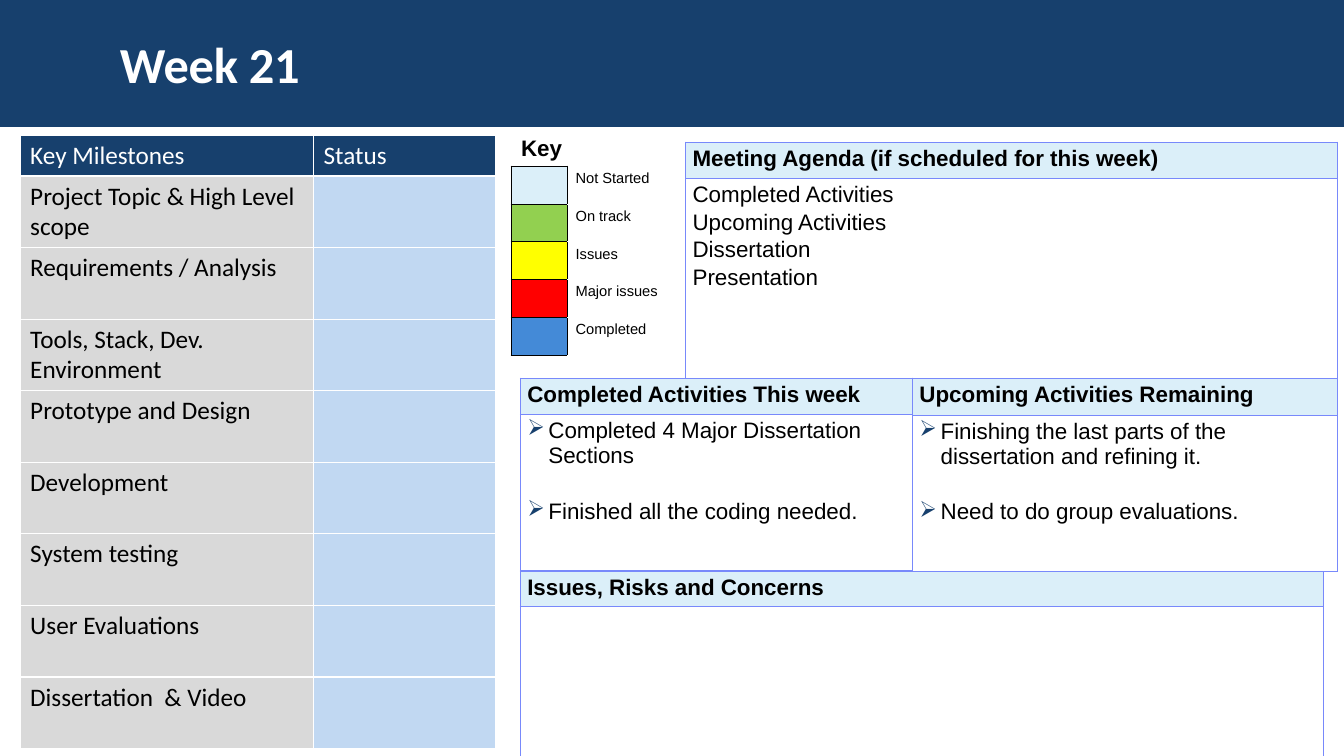
"""Build the weekly project status slide."""
from dataclasses import dataclass

import pptx
import pptx.dml.color
import pptx.enum.shapes
import pptx.enum.text
import pptx.oxml
import pptx.oxml.ns
import pptx.util

Inches, Pt = pptx.util.Inches, pptx.util.Pt
NAVY, WHITE, BLACK, PALE = "17406D", "FFFFFF", "000000", "DBEFF9"
GREY, LIGHT_BLUE, PERIWINKLE = "D9D9D9", "C1D8F2", "7889FB"
ALL_SIDES = "LRTB"


@dataclass(frozen=True)
class TextStyle:
    font: str
    size: float
    color: str = BLACK
    bold: bool = False


@dataclass(frozen=True)
class Panel:
    left: float
    top: float
    width: float
    heights: tuple[float, float]
    heading: str
    lines: tuple[str, ...] = ()
    bulleted: bool = False


@dataclass(frozen=True)
class KeyEntry:
    color: str
    label: str


MILESTONES = (
    "Project Topic & High Level scope",
    "Requirements / Analysis",
    "Tools, Stack, Dev. Environment",
    "Prototype and Design",
    "Development",
    "System testing",
    "User Evaluations",
    "Dissertation  & Video",
)
KEY_ENTRIES = (
    KeyEntry(PALE, "Not Started"),
    KeyEntry("92D050", "On track"),
    KeyEntry("FFFF00", "Issues"),
    KeyEntry("FF0000", "Major issues"),
    KeyEntry("448AD7", "Completed"),
)
PANELS = (
    Panel(5.16, 3.75, 3.89, (0.36, 1.55), "Completed Activities This week",
          ("Completed 4 Major Dissertation Sections", "Finished all the coding needed."), True),
    Panel(6.8, 1.41, 6.46, (0.36, 1.98), "Meeting Agenda (if scheduled for this week)",
          ("Completed Activities", "Upcoming Activities", "Dissertation", "Presentation")),
    Panel(5.16, 5.67, 7.97, (0.33, 1.52), "Issues, Risks and Concerns"),
    Panel(9.05, 3.75, 4.21, (0.37, 1.55), "Upcoming Activities Remaining",
          ("Finishing the last parts of the dissertation and refining it.",
           "Need to do group evaluations."), True),
)


def rgb(color: str) -> pptx.dml.color.RGBColor:
    return pptx.dml.color.RGBColor.from_string(color)


def apply(target: object, formats: dict[str, object]) -> None:
    for name, value in formats.items():
        setattr(target, name, value)


def write(paragraph, text: str, style: TextStyle):
    run = paragraph.add_run()
    run.text = text
    apply(run.font, {"name": style.font, "size": Pt(style.size), "bold": style.bold})
    run.font.color.rgb = rgb(style.color)
    return run


def add_grid(slide, left: float, top: float, widths: tuple[float, ...], heights: tuple[float, ...]):
    frame = slide.shapes.add_table(len(heights), len(widths), Inches(left), Inches(top),
                                   Inches(sum(widths)), Inches(sum(heights)))
    grid = frame.table
    apply(grid, {"first_row": False, "horz_banding": False})
    for column, width in zip(grid.columns, widths):
        column.width = Inches(width)
    for row, height in zip(grid.rows, heights):
        row.height = Inches(height)
    return grid


def format_cell(cell, fill: str | None, line: str, points: float, sides: str = ALL_SIDES,
                inset: tuple[float, float] = (0.1, 0.05)) -> None:
    across, down = (Inches(length) for length in inset)
    apply(cell, {"margin_left": across, "margin_right": across,
                 "margin_top": down, "margin_bottom": down})
    properties = cell._tc.get_or_add_tcPr()
    for side in sides:
        properties.append(pptx.oxml.parse_xml(
            f'<a:ln{side} {pptx.oxml.ns.nsdecls("a")} w="{Pt(points)}"><a:solidFill>'
            f'<a:srgbClr val="{line}"/></a:solidFill></a:ln{side}>'))
    if fill:
        cell.fill.solid()
        cell.fill.fore_color.rgb = rgb(fill)
    else:
        cell.fill.background()


def add_bullet(paragraph) -> None:
    properties = paragraph._p.get_or_add_pPr()
    for name, value in {"marL": Inches(0.21), "indent": Inches(-0.21)}.items():
        properties.set(name, str(value))
    namespace = pptx.oxml.ns.nsdecls("a")
    for xml in (f'<a:buClr {namespace}><a:srgbClr val="{NAVY}"/></a:buClr>',
                f'<a:buChar {namespace} char="➢"/>'):
        properties.append(pptx.oxml.parse_xml(xml))


def add_title(slide, slide_width: int) -> None:
    title = slide.shapes.title
    band = slide.shapes.add_shape(pptx.enum.shapes.MSO_SHAPE.RECTANGLE, 0, 0,
                                  slide_width, Inches(1.26))
    band.shadow.inherit = False
    band.fill.solid()
    band.fill.fore_color.rgb = rgb(NAVY)
    band.line.fill.background()
    title.element.addprevious(band.element)
    apply(title, {"left": Inches(1.09), "top": Inches(0.21),
                  "width": Inches(10.96), "height": Inches(0.83)})
    apply(title.text_frame, {"vertical_anchor": pptx.enum.text.MSO_ANCHOR.MIDDLE,
                             "auto_size": pptx.enum.text.MSO_AUTO_SIZE.NONE})
    heading = title.text_frame.paragraphs[0]
    heading.alignment = pptx.enum.text.PP_ALIGN.LEFT
    week = write(heading, "Week 21", TextStyle("Calibri", 36, WHITE, True))
    week.font._element.set("spc", "-20")


def add_milestones(slide) -> None:
    heights = (0.4,) + (0.71,) * len(MILESTONES)
    grid = add_grid(slide, 0.2, 1.34, (2.91, 1.81), heights)
    rows = (("Key Milestones", "Status"), *((milestone, "") for milestone in MILESTONES))
    for row, texts in enumerate(rows):
        fills = (GREY, LIGHT_BLUE) if row else (NAVY, NAVY)
        style = TextStyle("Calibri", 18, BLACK if row else WHITE)
        for column, (text, fill) in enumerate(zip(texts, fills)):
            cell = grid.cell(row, column)
            format_cell(cell, fill, WHITE, 1)
            if text:
                write(cell.text_frame.paragraphs[0], text, style)


def add_key(slide) -> None:
    grid = add_grid(slide, 5.07, 1.65, (0.56, 1.4), (0.375,) * len(KEY_ENTRIES))
    for row, entry in enumerate(KEY_ENTRIES):
        swatch, label = grid.cell(row, 0), grid.cell(row, 1)
        format_cell(swatch, entry.color, BLACK, 1, inset=(0.08, 0.02))
        format_cell(label, None, BLACK, 1, "L", (0.08, 0.04))
        write(label.text_frame.paragraphs[0], entry.label, TextStyle("Arial", 10.5))
    caption = slide.shapes.add_textbox(Inches(5.07), Inches(1.28), Inches(1.5), Inches(0.37))
    caption.text_frame.word_wrap = True
    write(caption.text_frame.paragraphs[0], "Key", TextStyle("Arial", 16, bold=True))


def add_panel(slide, panel: Panel) -> None:
    grid = add_grid(slide, panel.left, panel.top, (panel.width,), panel.heights)
    heading, content = grid.cell(0, 0), grid.cell(1, 0)
    for cell, fill in ((heading, PALE), (content, None)):
        format_cell(cell, fill, PERIWINKLE, 0.71, inset=(0.07, 0.04))
    write(heading.text_frame.paragraphs[0], panel.heading, TextStyle("Arial", 16, bold=True))
    for index, line in enumerate(panel.lines):
        frame = content.text_frame
        paragraph = frame.add_paragraph() if index else frame.paragraphs[0]
        write(paragraph, line, TextStyle("Arial", 16))
        paragraph.space_after = Pt(22 if panel.bulleted else 2)
        if panel.bulleted:
            add_bullet(paragraph)


def main() -> None:
    deck = pptx.Presentation()
    apply(deck, {"slide_width": Inches(13.33), "slide_height": Inches(7.5)})
    slide = deck.slides.add_slide(deck.slide_layouts.get_by_name("Title Only"))
    add_title(slide, deck.slide_width)
    add_milestones(slide)
    add_key(slide)
    for panel in PANELS:
        add_panel(slide, panel)
    deck.save("out.pptx")


if __name__ == "__main__":
    main()
